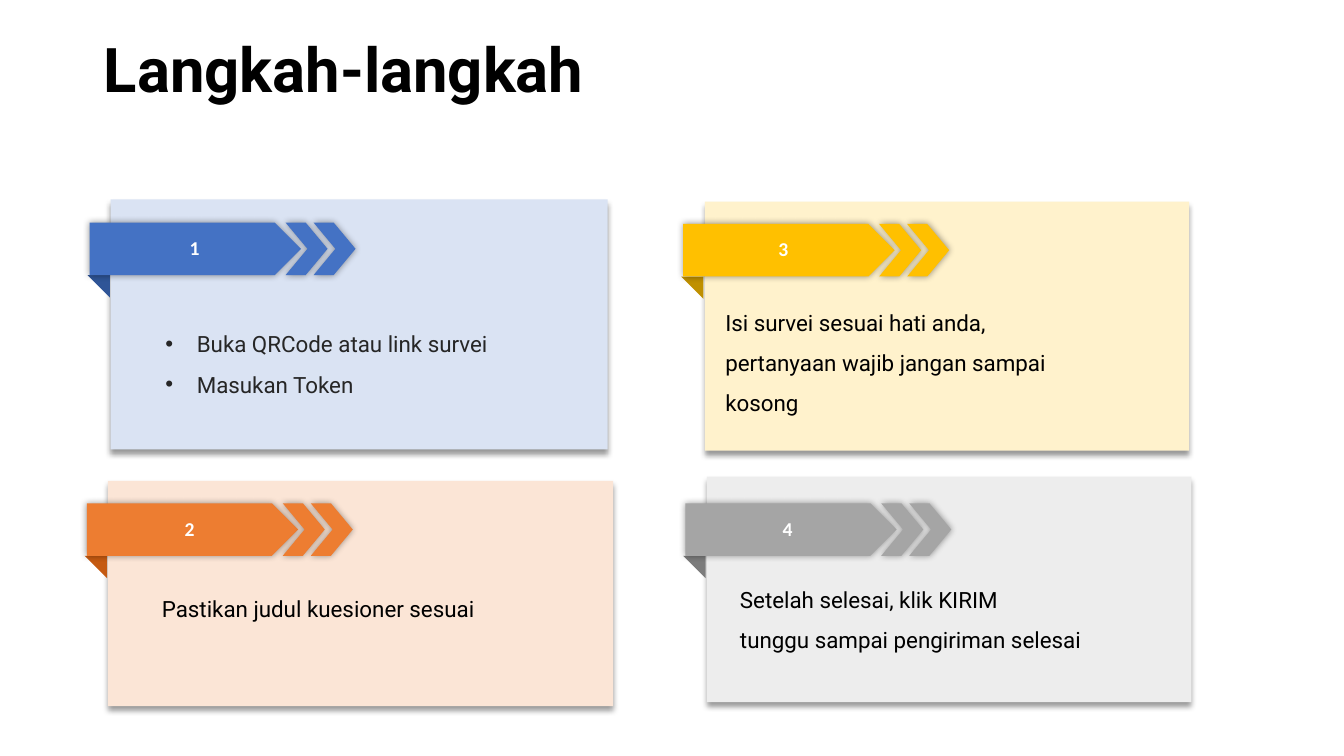
"""Build the slide of four survey steps, each a card with an arrow ribbon."""
import lxml.etree
import pptx
import pptx.dml.color
import pptx.enum.shapes
import pptx.enum.text
import pptx.oxml.ns
import pptx.util

Pt = pptx.util.Pt
SHAPES = pptx.enum.shapes.MSO_SHAPE
ALIGN = pptx.enum.text.PP_ALIGN
ANCHOR = pptx.enum.text.MSO_ANCHOR
qn = pptx.oxml.ns.qn

TITLE = {"size": Pt(44), "name": "Roboto", "bold": True}
BODY = {"size": Pt(16), "name": "Roboto"}
NUMBER = {"size": Pt(14), "name": "Calibri", "bold": True}
CARD_SHADOW = {"blurRad": Pt(4), "dist": Pt(3), "dir": 90 * 60000}
RIBBON_SHADOW = {"blurRad": Pt(5), "dist": 0, "dir": 0}

STEPS = [
    {"number": "1", "card": (79, 142.5, 355, 178.5), "ribbon": (64, 159), "label": 77,
     "colors": ("DAE3F3", "4472C4", "2F5597"), "body": (111, 223, 277, 62),
     "lines": ["Buka QRCode atau link survei", "Masukan Token"],
     "ink": "262626", "bullet": True},
    {"number": "2", "card": (77, 343.5, 361, 161), "ribbon": (62, 359.5), "label": 73.5,
     "colors": ("FBE5D6", "ED7D31", "C55A11"), "body": (108.5, 412, 286, 33),
     "lines": ["Pastikan judul kuesioner sesuai"]},
    {"number": "3", "card": (503.5, 144, 346, 178), "ribbon": (488, 160), "label": 497.5,
     "colors": ("FFF2CC", "FFC000", "BF9000"), "body": (511, 207.5, 294, 91.5),
     "lines": ["Isi survei sesuai hati anda,", "pertanyaan wajib jangan sampai", "kosong"]},
    {"number": "4", "card": (505, 340.5, 346, 161), "ribbon": (489.5, 359.5), "label": 500.5,
     "colors": ("EDEDED", "A5A5A5", "7C7C7C"), "body": (521.5, 405.5, 273.5, 62.5),
     "lines": ["Setelah selesai, klik KIRIM", "tunggu sampai pengiriman selesai"]},
]


def color(value):
    """Turn a hex string into a colour."""
    return pptx.dml.color.RGBColor.from_string(value)


def apply(target, formats):
    """Set each attribute named in a dict of format values."""
    for name, value in formats.items():
        setattr(target, name, value)


class Painter:
    """Hold the current slide and draw styled elements on it."""

    def __init__(self, slide):
        """Keep the slide to draw on."""
        self.slide = slide

    def shape(self, kind, box, fill, shadow=None, rotation=0, adjustment=None):
        """Draw a filled preset shape without an outline."""
        shape = self.slide.shapes.add_shape(kind, *map(Pt, box))
        shape.fill.solid()
        shape.fill.fore_color.rgb = color(fill)
        shape.line.fill.background()
        shape.shadow.inherit = False
        shape.rotation = rotation
        if adjustment is not None:
            shape.adjustments[0] = adjustment
        if shadow:
            self.shadow(shape, shadow)

    def shadow(self, shape, values):
        """Give a shape a black outer shadow at 40 percent."""
        effects = shape._element.spPr.find(qn("a:effectLst"))
        outer = lxml.etree.SubElement(effects, qn("a:outerShdw"), algn="ctr", rotWithShape="0")
        for name, value in values.items():
            outer.set(name, str(int(value)))
        black = lxml.etree.SubElement(outer, qn("a:srgbClr"), val="000000")
        lxml.etree.SubElement(black, qn("a:alpha"), val="40000")

    def text(self, box, lines, font, ink="000000", bullet=False, anchor=ANCHOR.TOP, **formats):
        """Write one paragraph for each line."""
        frame = self.slide.shapes.add_textbox(*map(Pt, box)).text_frame
        apply(frame, {"word_wrap": True, "vertical_anchor": anchor, "text": "\n".join(lines)})
        for paragraph in frame.paragraphs:
            apply(paragraph, formats)
            apply(paragraph.runs[0].font, font)
            paragraph.runs[0].font.color.rgb = color(ink)
            if bullet:
                self.bullet(paragraph)

    def bullet(self, paragraph):
        """Give a paragraph a hanging round bullet."""
        properties = paragraph._p.get_or_add_pPr()
        properties.set("marL", str(Pt(22.5)))
        properties.set("indent", str(-Pt(22.5)))
        lxml.etree.SubElement(properties, qn("a:buFont"), typeface="Arial")
        lxml.etree.SubElement(properties, qn("a:buChar"), char="\u2022")

    def ribbon(self, left, top, fill, fold):
        """Draw the folded arrow with its two chevrons."""
        self.shape(SHAPES.RIGHT_TRIANGLE, (left - 1.5, top + 37.5, 16, 16), fold, rotation=180)
        self.shape(SHAPES.PENTAGON, (left, top, 151, 37.5), fill, RIBBON_SHADOW)
        for offset in (140, 160):
            self.shape(SHAPES.CHEVRON, (left + offset, top, 30, 37.5), fill,
                       RIBBON_SHADOW, adjustment=0.52)

    def step(self, number, card, ribbon, label, colors, body, lines, **formats):
        """Draw one step: card, ribbon, number and text."""
        pale, fill, fold = colors
        self.shape(SHAPES.RECTANGLE, card, pale, CARD_SHADOW)
        self.ribbon(*ribbon, fill, fold)
        self.text(body, lines, BODY, line_spacing=1.5, **formats)
        self.text((label, ribbon[1] + 6, 124, 24.5), [number], NUMBER, "FFFFFF",
                  alignment=ALIGN.CENTER)


presentation = pptx.Presentation()
apply(presentation, {"slide_width": Pt(960), "slide_height": Pt(540)})
painter = Painter(presentation.slides.add_slide(presentation.slide_layouts[6]))
painter.text((67, 21.5, 860, 61), ["Langkah-langkah"], TITLE,
             anchor=ANCHOR.MIDDLE, line_spacing=0.9)
for step in STEPS:
    painter.step(**step)
presentation.save("out.pptx")
